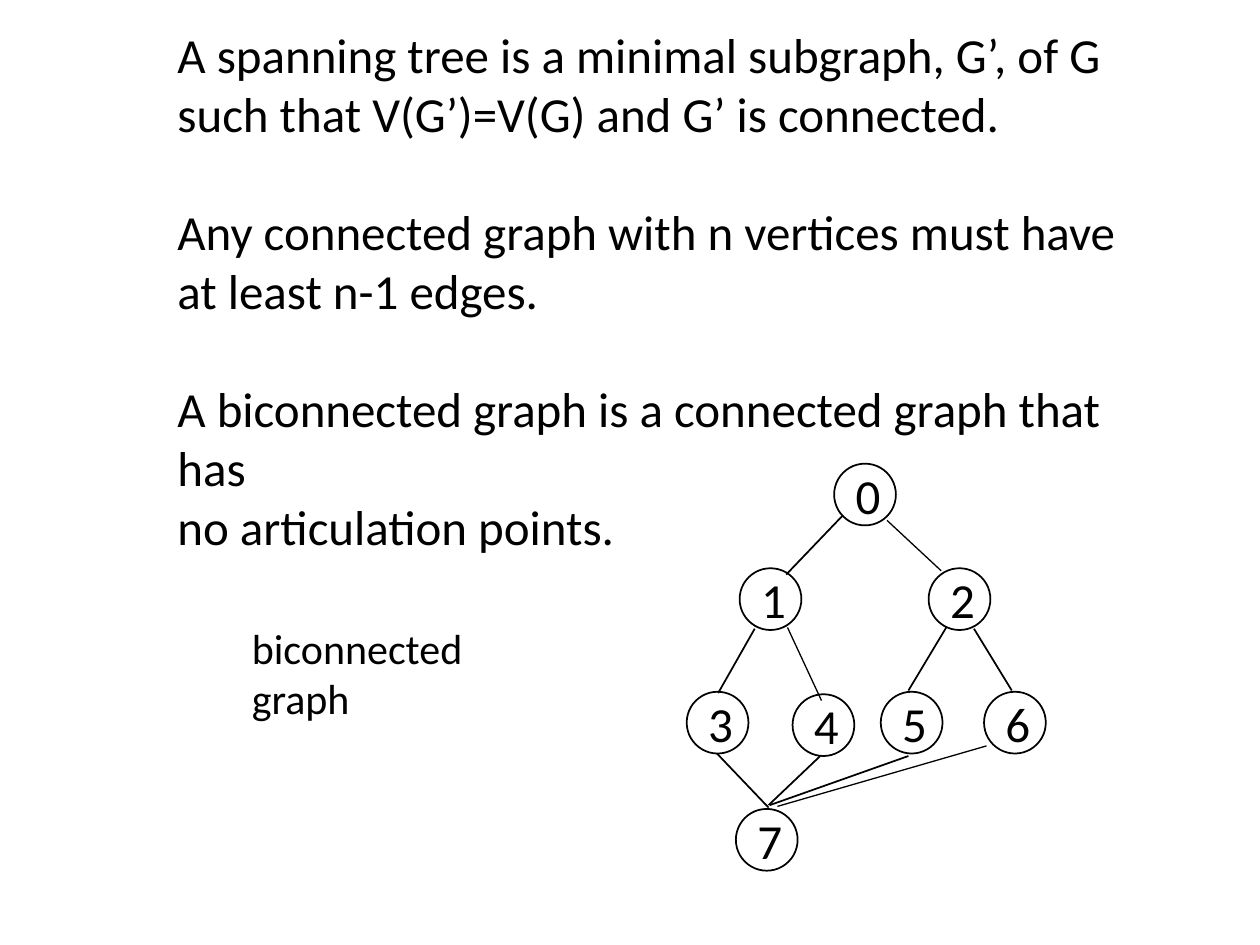
from lxml import etree
from pptx import Presentation
from pptx.dml.color import RGBColor
from pptx.enum.shapes import MSO_CONNECTOR, MSO_SHAPE
from pptx.enum.text import MSO_ANCHOR, PP_ALIGN
from pptx.oxml.ns import qn
from pptx.util import Inches, Pt

OVAL = MSO_SHAPE.OVAL
STRAIGHT = MSO_CONNECTOR.STRAIGHT
MIDDLE = MSO_ANCHOR.MIDDLE
LEFT = PP_ALIGN.LEFT

DEFINITIONS = [
    ["A spanning tree is a minimal subgraph, G’, of G",
     "such that V(G’)=V(G) and G’ is connected."],
    ["Any connected graph with n vertices must have\vat least n-1 edges."],
    ["A biconnected graph is a connected graph that has",
     "no articulation points."],
]
VERTICES = [(6.62, 3.68), (5.87, 4.51), (7.37, 4.51), (5.45, 5.49),
            (6.29, 5.51), (6.99, 5.49), (7.81, 5.49), (5.84, 6.42)]
EDGES = [
    (6.69, 4.09, 6.24, 4.56, 1),
    (5.99, 4.99, 5.70, 5.50, 1),
    (7.51, 4.98, 7.21, 5.48, 1),
    (7.73, 4.99, 8.03, 5.48, 1),
    (5.69, 5.98, 6.10, 6.41, 1),
    (6.10, 6.39, 6.51, 6.00, 1),
    (6.11, 6.39, 7.21, 6.00, 1),
    (7.04, 4.13, 7.47, 4.53, 0.75),
    (6.25, 4.98, 6.52, 5.56, 0.75),
    (6.17, 6.40, 7.83, 5.92, 0.75),
]


def colour(hex_value):
    return RGBColor.from_string(hex_value)


def write(frame, groups, size=28, font="Calibri", ink="000000", group_gap=0):
    frame.word_wrap = True
    frame.vertical_anchor = MIDDLE
    paragraph = None
    for group in groups:
        for position, line in enumerate(group):
            first = paragraph is None
            paragraph = frame.paragraphs[0] if first else frame.add_paragraph()
            paragraph.text = line
            paragraph.alignment = LEFT
            if not first and position == 0:
                paragraph.space_before = Pt(group_gap)
            for run in paragraph.runs:
                run.font.size = Pt(size)
                run.font.name = font
                run.font.color.rgb = colour(ink)


class GraphSlide:
    """Draws text, vertices and edges on one slide in a shared style."""

    ink = "000000"
    paper = "FFFFFF"
    diameter = 0.49

    def __init__(self, slide):
        self.slide = slide

    def text(self, left, top, width, height, groups, **style):
        box = self.slide.shapes.add_textbox(
            Inches(left), Inches(top), Inches(width), Inches(height))
        write(box.text_frame, groups, ink=self.ink, **style)

    def vertex(self, left, top, label):
        circle = self.slide.shapes.add_shape(
            OVAL, Inches(left), Inches(top),
            Inches(self.diameter), Inches(self.diameter))
        circle.shadow.inherit = False
        circle.fill.solid()
        circle.fill.fore_color.rgb = colour(self.paper)
        circle.line.color.rgb = colour(self.ink)
        circle.line.width = Pt(1)
        write(circle.text_frame, [[label]], ink=self.ink)

    def edge(self, x1, y1, x2, y2, weight):
        link = self.slide.shapes.add_connector(
            STRAIGHT, Inches(x1), Inches(y1), Inches(x2), Inches(y2))
        link.line.color.rgb = colour(self.ink)
        link.line.width = Pt(weight)
        etree.SubElement(link._element.spPr, qn("a:effectLst"))


def main():
    deck = Presentation()
    deck.slide_width = Inches(10)
    deck.slide_height = Inches(7.5)
    page = GraphSlide(deck.slides.add_slide(deck.slide_layouts[6]))

    page.text(1.31, 0.38, 8.01, 3.84, DEFINITIONS, group_gap=34)
    for label, (left, top) in enumerate(VERTICES):
        page.vertex(left, top, str(label))
    for edge in EDGES:
        page.edge(*edge)
    page.text(1.9, 5.09, 2.65, 0.5, [["biconnected graph"]], size=24)

    deck.save("out.pptx")


if __name__ == "__main__":
    main()
